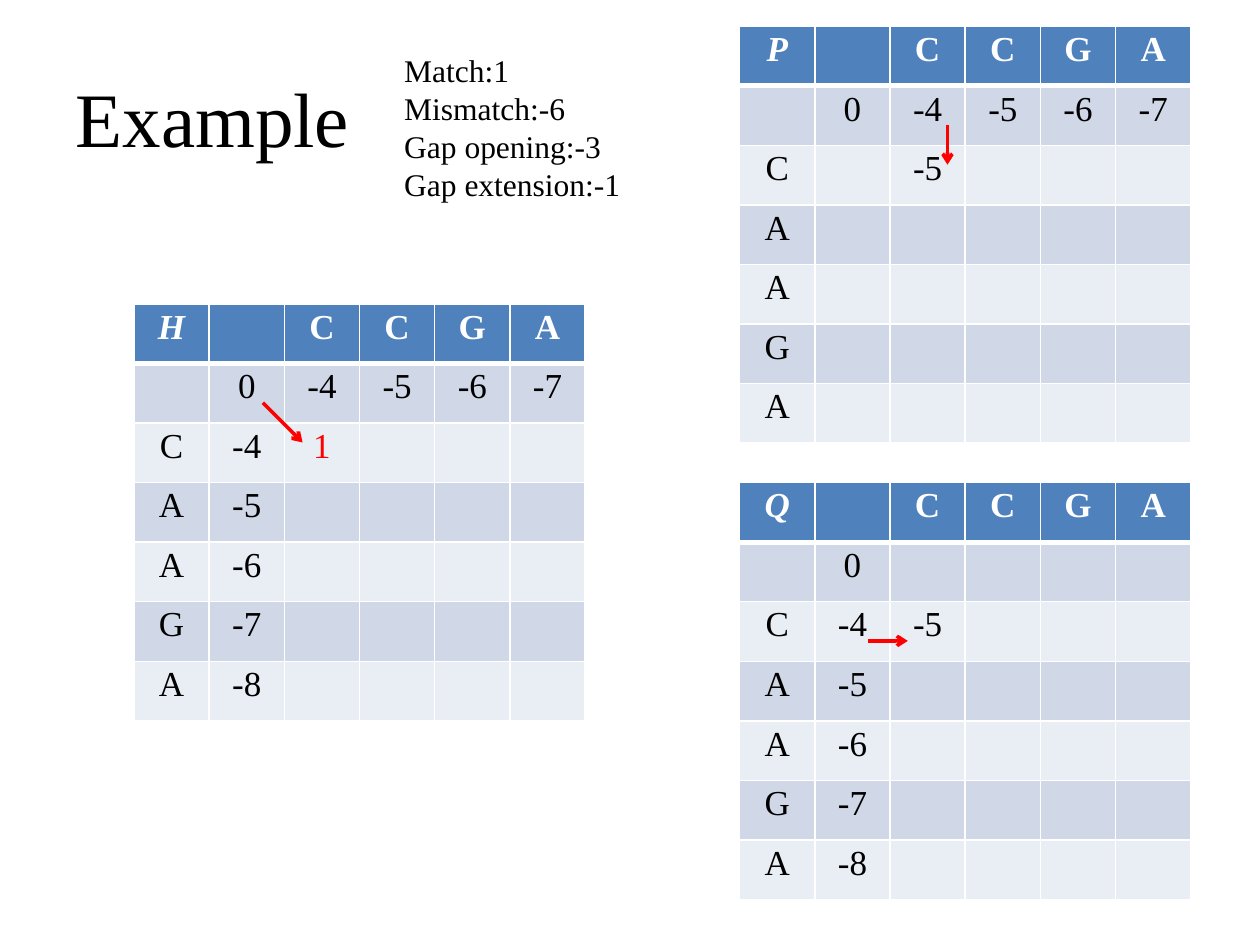
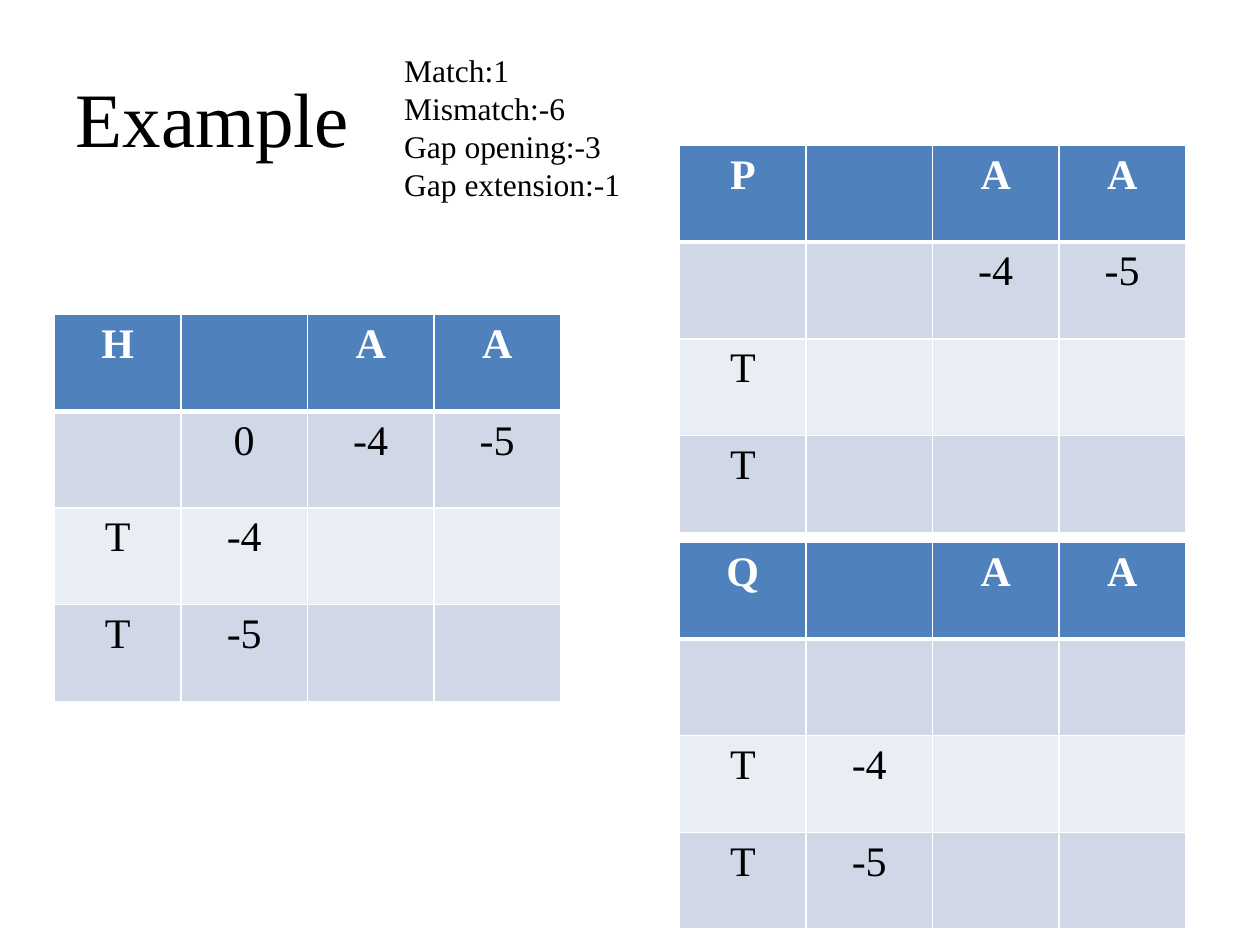
from lxml import etree
from pptx import Presentation
from pptx.dml.color import RGBColor
from pptx.enum.shapes import MSO_CONNECTOR
from pptx.enum.text import MSO_ANCHOR, MSO_AUTO_SIZE, PP_ALIGN
from pptx.oxml.ns import qn
from pptx.util import Cm, Pt

LEFT, CENTER = PP_ALIGN.LEFT, PP_ALIGN.CENTER
MIDDLE = MSO_ANCHOR.MIDDLE
FIT_SHAPE = MSO_AUTO_SIZE.SHAPE_TO_FIT_TEXT
STRAIGHT = MSO_CONNECTOR.STRAIGHT

# Shared look
FONT = "Times New Roman"
BLACK, WHITE, RED = "000000", "FFFFFF", "FF0000"
HEADER, BANDS = "4F81BD", ("D0D8E8", "E9EDF4")
ARROW_STEP = 0.8

# Content: lengths in cm; scores start at the empty-prefix row and column
TITLE = "Example"
SCORING = ["Match:1", "Mismatch:-6", "Gap opening:-3", "Gap extension:-1"]

SLIDES = [
    {
        "across": "CCGA", "down": "CAAGA",
        "size": (9.1, 8.4), "margins": (0.16, 0.08),
        "font_size": 20, "italic_name": True,
        "matrices": [
            ("H", 2.7, 6.13, [["0", "-4", "-5", "-6", "-7"], ["-4", "1"],
                              ["-5"], ["-6"], ["-7"], ["-8"]]),
            ("P", 14.91, 0.53, [["0", "-4", "-5", "-6", "-7"], ["", "-5"]]),
            ("Q", 14.91, 9.73, [["0"], ["-4", "-5"],
                                ["-5"], ["-6"], ["-7"], ["-8"]]),
        ],
        "highlights": {("H", 2, 2)},
        # start x, start y, direction x, direction y
        "arrows": [(5.3, 8.12, 1, 1), (19.1, 2.52, 0, 1), (17.5, 12.92, 1, 0)],
    },
    {
        "across": "AA", "down": "TT",
        "size": (10.2, 7.8), "margins": (0.25, 0.13),
        "font_size": 24, "italic_name": False,
        "matrices": [
            ("H", 1.1, 6.34, [["0", "-4", "-5"], ["-4"], ["-5"]]),
            ("P", 13.7, 2.93, [["", "-4", "-5"]]),
            ("Q", 13.7, 10.93, [[], ["-4"], ["-5"]]),
        ],
        "highlights": set(),
        "arrows": [],
    },
]


def rgb(color):
    return RGBColor.from_string(color)


def write(tf, text, size, color=BLACK, bold=False, italic=False, align=LEFT):
    """Write each line of text as one paragraph."""
    for i, line in enumerate(text.split("\n")):
        p = tf.add_paragraph() if i else tf.paragraphs[0]
        p.alignment = align
        r = p.add_run()
        r.text = line
        r.font.name, r.font.size = FONT, Pt(size)
        r.font.bold, r.font.italic = bold, italic
        r.font.color.rgb = rgb(color)


def set_borders(cell, bottom):
    tc_pr = cell._tc.get_or_add_tcPr()
    for side, width in (("L", 1), ("R", 1), ("T", 1), ("B", bottom)):
        ln = etree.SubElement(tc_pr, qn(f"a:ln{side}"), w=str(Pt(width)))
        fill = etree.SubElement(ln, qn("a:solidFill"))
        etree.SubElement(fill, qn("a:srgbClr"), val=WHITE)


def add_matrix(s, spec, name, left, top, scores):
    across, down = spec["across"], spec["down"]
    rows, cols = len(down) + 2, len(across) + 2
    width, height = spec["size"]
    table = s.shapes.add_table(rows, cols, Cm(left), Cm(top),
                               Cm(width), Cm(height)).table

    # Header, then one row for the empty prefix and for each letter
    grid = [[name, "", *across]]
    for i, label in enumerate(["", *down]):
        grid.append([label, *(scores[i] if i < len(scores) else [])])

    side, edge = (Cm(m) for m in spec["margins"])
    for i, values in enumerate(grid):
        head = i == 0
        for j in range(cols):
            cell = table.cell(i, j)
            cell.margin_left = cell.margin_right = side
            cell.margin_top = cell.margin_bottom = edge
            # The line under the header is thick on both sides of the join
            set_borders(cell, bottom=3 if head else 1)
            if i == 1:
                cell._tc.tcPr.find(qn("a:lnT")).set("w", str(Pt(3)))
            cell.fill.solid()
            cell.fill.fore_color.rgb = rgb(HEADER if head else BANDS[(i - 1) % 2])
            if j < len(values) and values[j]:
                marked = (name, i, j) in spec["highlights"]
                write(cell.text_frame, values[j], spec["font_size"],
                      color=WHITE if head else RED if marked else BLACK,
                      bold=head, align=CENTER,
                      italic=head and j == 0 and spec["italic_name"])


def add_arrow(s, x, y, dx, dy):
    c = s.shapes.add_connector(STRAIGHT, Cm(x), Cm(y), Cm(x + dx * ARROW_STEP),
                               Cm(y + dy * ARROW_STEP))
    c.line.color.rgb = rgb(RED)
    c.line.width = Pt(2)
    etree.SubElement(c.line._get_or_add_ln(), qn("a:tailEnd"), type="arrow")
    etree.SubElement(c._element.spPr, qn("a:effectLst"))


def add_heading(s):
    # Title
    sp = s.shapes.title
    sp.left, sp.top, sp.width, sp.height = Cm(1.27), Cm(0.76), Cm(22.86), Cm(3.18)
    sp.text_frame.vertical_anchor = MIDDLE
    write(sp.text_frame, TITLE, 44)

    # Scoring scheme
    sp = s.shapes.add_textbox(Cm(7.9), Cm(0.91), Cm(4.9), Cm(3.33))
    sp.text_frame.word_wrap = False
    sp.text_frame.auto_size = FIT_SHAPE
    write(sp.text_frame, "\n".join(SCORING), 18)


def main():
    prs = Presentation()
    prs.slide_width, prs.slide_height = Cm(25.4), Cm(19.05)
    for spec in SLIDES:
        s = prs.slides.add_slide(prs.slide_layouts[5])
        add_heading(s)
        for matrix in spec["matrices"]:
            add_matrix(s, spec, *matrix)
        for arrow in spec["arrows"]:
            add_arrow(s, *arrow)
    prs.save("out.pptx")


if __name__ == "__main__":
    main()
